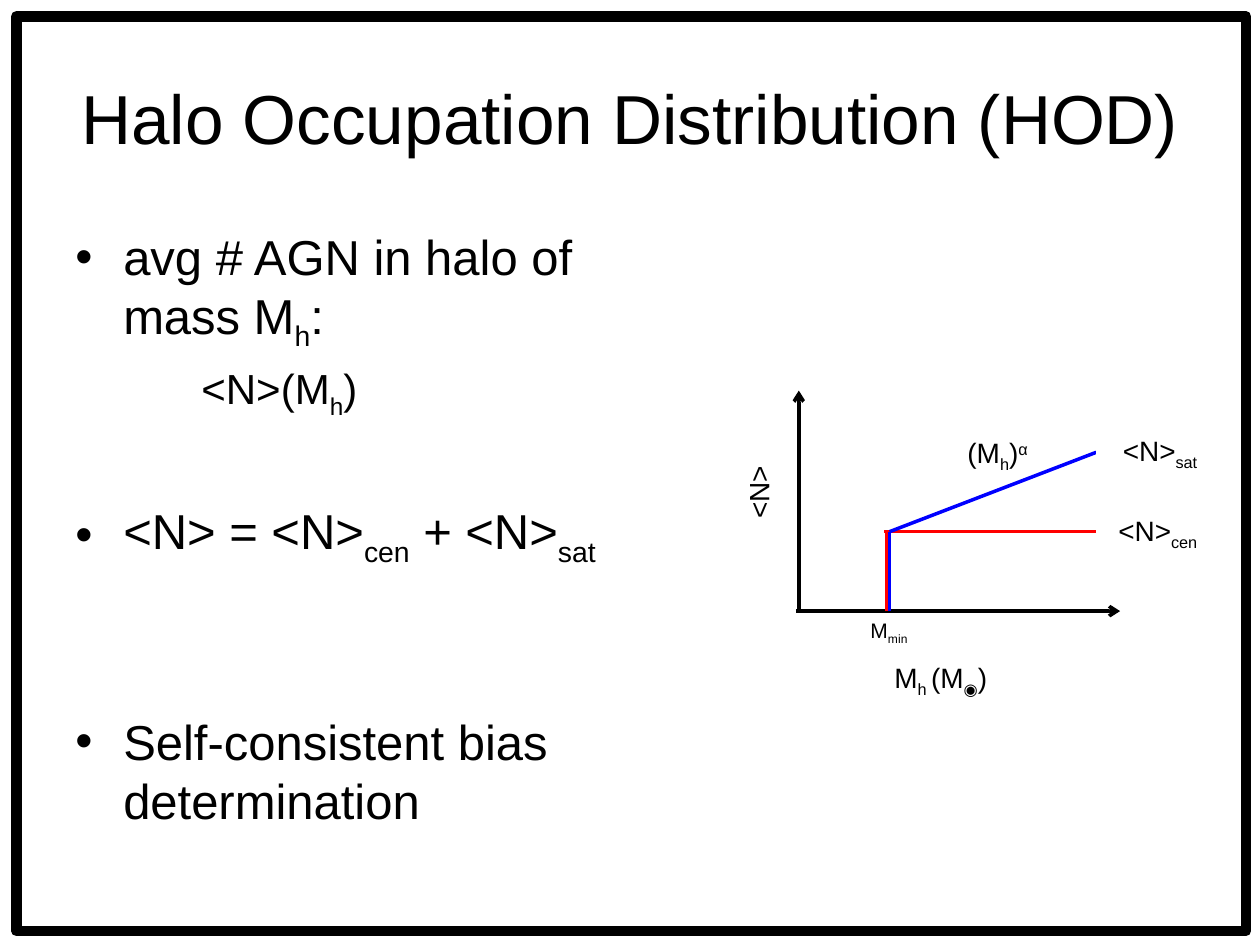
import pptx
import pptx.util
import pptx.dml.color
import pptx.enum.shapes
import pptx.enum.text
import pptx.oxml.ns
import lxml.etree

COLORS = {"ink": "000000", "paper": "FFFFFF", "cen": "FF0000", "sat": "0000FF"}
COLS, ROWS = 100, 75
CELL = pptx.util.Inches(10) // COLS
FONT = "Arial"
SUB, SUP = -25000, 30000
ALIGN = pptx.enum.text.PP_ALIGN
ANCHOR = pptx.enum.text.MSO_ANCHOR


def grid(*cells):
    """Turn grid cells into slide lengths."""
    return [round(c * CELL) for c in cells]


def rgb(name):
    """Look up a named colour."""
    return pptx.dml.color.RGBColor.from_string(COLORS[name])


def sub_element(parent, tag, **attrs):
    """Append a DrawingML element."""
    return lxml.etree.SubElement(parent, pptx.oxml.ns.qn(tag), attrs)


def write(p, runs, size, align=ALIGN.LEFT):
    """Fill a paragraph from plain strings and (string, baseline) pairs."""
    p.alignment = align
    p.font.size, p.font.name = pptx.util.Pt(size), FONT
    p.font.color.rgb = rgb("ink")
    for run in runs:
        text, baseline = (run, 0) if isinstance(run, str) else run
        r = p.add_run()
        r.text = text
        if baseline:
            r.font._element.set("baseline", str(baseline))


def add_text(s, box, wrap=True, anchor=ANCHOR.TOP):
    """Add an empty text box."""
    sp = s.shapes.add_textbox(*grid(*box))
    sp.text_frame.word_wrap = wrap
    sp.text_frame.vertical_anchor = anchor
    return sp


def add_label(s, box, runs, size=16, align=ALIGN.LEFT, filled=True, wrap=True):
    """Add a one-line graph label that fits its text."""
    sp = add_text(s, box, wrap)
    sp.text_frame.auto_size = pptx.enum.text.MSO_AUTO_SIZE.SHAPE_TO_FIT_TEXT
    if filled:
        sp.fill.solid()
        sp.fill.fore_color.rgb = rgb("paper")
    write(sp.text_frame.paragraphs[0], runs, size, align)
    return sp


def add_line(s, start, end, color, arrow=False):
    """Draw a straight line, with an arrowhead at its end if asked."""
    ln = s.shapes.add_connector(
        pptx.enum.shapes.MSO_CONNECTOR.STRAIGHT, *grid(*start, *end))
    ln.line.width = pptx.util.Pt(2)
    ln.line.color.rgb = rgb(color)
    if arrow:
        sub_element(ln.line._get_or_add_ln(), "a:tailEnd", type="arrow")
    sub_element(ln._element.spPr, "a:effectLst")


def add_frame(s, box):
    """Draw the heavy border round the slide."""
    sp = s.shapes.add_shape(pptx.enum.shapes.MSO_SHAPE.RECTANGLE, *grid(*box))
    sp.shadow.inherit = False
    sp.fill.background()
    sp.line.width = pptx.util.Pt(6)
    sp.line.color.rgb = rgb("ink")
    sub_element(sp.line._get_or_add_ln(), "a:round")


def add_title(s, box):
    """Write the slide title."""
    sp = add_text(s, box, anchor=ANCHOR.MIDDLE)
    write(sp.text_frame.paragraphs[0],
          ["Halo Occupation Distribution (HOD)"], 39.6, ALIGN.CENTER)


def add_bullets(s, box):
    """Write the bullet list with its indented formula."""
    items = [
        (["avg # AGN in halo of mass M", ("h", SUB), ":"], 28, True, 0),
        (["<N>(M", ("h", SUB), ")"], 24, False, 6),
        (["<N> = <N>", ("cen", SUB), " + <N>", ("sat", SUB)], 28, True, 46),
        (["Self-consistent bias determination"], 28, True, 82),
    ]
    tf = add_text(s, box).text_frame
    for i, (runs, size, bullet, before) in enumerate(items):
        p = tf.add_paragraph() if i else tf.paragraphs[0]
        pPr = p._p.get_or_add_pPr()
        left, first = grid(3.8, -3.8) if bullet else grid(10, 0)
        pPr.set("marL", str(left))
        pPr.set("indent", str(first))
        if bullet:
            sub_element(pPr, "a:buFont", typeface=FONT)
            sub_element(pPr, "a:buChar", char="•")
        else:
            sub_element(pPr, "a:buNone")
        p.space_before = pptx.util.Pt(before)
        write(p, runs, size)


def add_graph(s, box):
    """Draw the occupation graph on axes that span the box."""
    x, y, w, h = box
    base, step, end = y + h, y + 11.2, x + 23.6
    x_cen, x_sat = x + 7, x + 7.2
    add_line(s, (x, base), (x, y), "ink", arrow=True)
    add_line(s, (x - 0.2, base), (x + w, base), "ink", arrow=True)
    add_line(s, (x_cen, base), (x_cen, step), "cen")
    add_line(s, (x_cen - 0.2, step), (end, step), "cen")
    add_line(s, (x_sat, base), (x_sat, step), "sat")
    add_line(s, (x_sat, step), (end, y + 4.9), "sat")

    for name, top in (("cen", 9.3), ("sat", 2.9)):
        add_label(s, (end, y + top, 9, 3.7), ["<N>", (name, SUB)],
                  align=ALIGN.RIGHT)
    add_label(s, (x + 6.6, base + 3.4, 10.7, 3.7),
              ["M", ("h ", SUB), "(M", ("◉", SUB), ")"])
    add_label(s, (x - 6.3, y + 6.2, 6.2, 3.7), ["<N>"],
              wrap=False).rotation = 270
    add_label(s, (x + 4.7, base, 5.2, 3), ["M", ("min", SUB)],
              size=12, filled=False)
    add_label(s, (x + 12.4, y + 3.1, 8.2, 3.7),
              ["(M", ("h", SUB), ")", ("α", SUP)], filled=False)


def main():
    """Build and save the slide."""
    prs = pptx.Presentation()
    prs.slide_width, prs.slide_height = grid(COLS, ROWS)
    s = prs.slides.add_slide(prs.slide_layouts[6])
    add_title(s, (5, 3, 90, 12.5))
    add_bullets(s, (5, 17.5, 44.2, 49.5))
    add_frame(s, (1.3, 1.3, 97.6, 72.6))
    add_graph(s, (63.4, 31, 25.5, 17.5))
    prs.save("out.pptx")


if __name__ == "__main__":
    main()
